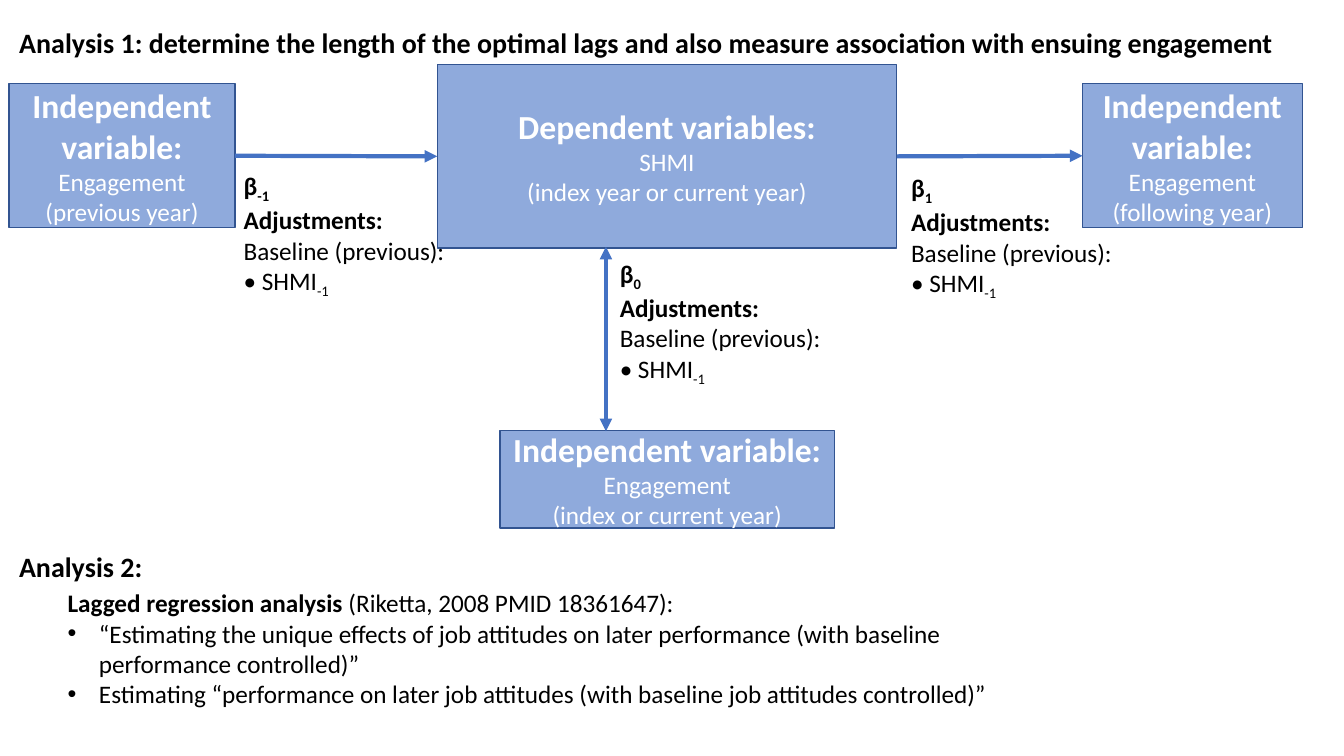
"""Build the slide on lagged analyses of engagement and SHMI."""
from lxml import etree
from pptx import Presentation
from pptx import util as u
from pptx.dml.color import RGBColor
from pptx.enum import shapes, text
from pptx.oxml.ns import qn

HUES = {"box": "8FAADC", "edge": "325491", "arrow": "4472C4",
        "ink": "000000", "light": "FFFFFF"}
LEFT, MID = text.PP_ALIGN.LEFT, text.PP_ALIGN.CENTER


def hue(name):
    """Return a named colour."""
    return RGBColor.from_string(HUES[name])


def place(shape, spot):
    """Move and size a shape, in centimetres."""
    shape.left, shape.top, shape.width, shape.height = map(u.Cm, spot)


def write(frame, paras, align=LEFT, ink="ink"):
    """Fill a frame with paragraphs of (text, size, bold, subscript) runs."""
    for i, runs in enumerate(paras):
        para = frame.paragraphs[0] if i == 0 else frame.add_paragraph()
        para.alignment = align
        para.space_before = u.Pt(0)
        for words, size, bold, sub in runs:
            run = para.add_run()
            run.text = words
            font = run.font
            font.name, font.size, font.bold = "Calibri", u.Pt(size), bold
            font.color.rgb = hue(ink)
            if sub:
                run._r.get_or_add_rPr().set("baseline", "-25000")


def fit(frame, wrap=True):
    """Anchor text at the top and let its shape grow."""
    frame.word_wrap = wrap
    frame.auto_size = text.MSO_AUTO_SIZE.SHAPE_TO_FIT_TEXT
    frame.vertical_anchor = text.MSO_ANCHOR.TOP


def add_box(slide, spot, head, name, year):
    """Add a filled box for one variable."""
    box = slide.shapes.add_shape(shapes.MSO_SHAPE.RECTANGLE, *map(u.Cm, spot))
    box.shadow.inherit = False
    box.fill.solid()
    box.fill.fore_color.rgb = hue("box")
    box.line.color.rgb = hue("edge")
    box.line.width = u.Pt(1)
    box.text_frame.word_wrap = True
    box.text_frame.vertical_anchor = text.MSO_ANCHOR.MIDDLE
    write(box.text_frame, [[(head, 24, True, False)], [(name, 18, False, False)],
                           [(year, 18, False, False)]], MID, "light")
    return box


def add_arrow(slide, ends, tips=("tailEnd",)):
    """Add a straight arrow with triangular tips."""
    line = slide.shapes.add_connector(shapes.MSO_CONNECTOR.STRAIGHT, *map(u.Cm, ends))
    line.line.color.rgb = hue("arrow")
    line.line.width = u.Pt(3)
    for tip in tips:
        etree.SubElement(line.line._get_or_add_ln(), qn("a:" + tip), type="triangle")
    etree.SubElement(line._element.spPr, qn("a:effectLst"))
    return line


def link(slide, start, end):
    """Join the right side of one box to the left side of the next."""
    line = add_arrow(slide, (0, 0, 1, 1))
    line.begin_connect(start, 3)
    line.end_connect(end, 1)


def add_note(slide, spot, lag):
    """Add the adjustments for one beta."""
    frame = slide.shapes.add_textbox(*map(u.Cm, spot)).text_frame
    fit(frame)
    write(frame, [[("β", 18, True, False), (lag, 18, True, True)],
                  [("Adjustments: ", 18, True, False)],
                  [("Baseline (previous):", 18, False, False)],
                  [("• SHMI", 18, False, False), ("-1", 18, False, True)]])


def add_head(shape, spot, words):
    """Write a heading into a shape."""
    place(shape, spot)
    fit(shape.text_frame, False)
    write(shape.text_frame, [[(words, 20, True, False)]])


def add_list(body, spot, lead, items):
    """Fill the body with a lead line and bulleted items."""
    place(body, spot)
    frame = body.text_frame
    fit(frame)
    write(frame, [lead] + [[(item, 18, False, False)] for item in items])
    for i, para in enumerate(frame.paragraphs):
        props = para._p.get_or_add_pPr()
        pad = u.Cm(0.79) if i else 0
        props.set("marL", str(pad))
        props.set("indent", str(-pad))
        if i:
            etree.SubElement(props, qn("a:buFont"), typeface="Arial")
            etree.SubElement(props, qn("a:buChar"), char="•")
        else:
            etree.SubElement(props, qn("a:buNone"))


def main():
    """Build and save the slide."""
    deck = Presentation()
    deck.slide_width, deck.slide_height = u.Cm(33.87), u.Cm(19.05)
    slide = deck.slides.add_slide(deck.slide_layouts[1])
    title, body = slide.placeholders

    cause = "Independent variable:"
    shmi = add_box(slide, (11.02, 1.63, 11.58, 4.62), "Dependent variables:",
                   "SHMI", "(index year or current year)")
    past = add_box(slide, (0.23, 2.11, 5.69, 3.63), cause, "Engagement", "(previous year)")
    later = add_box(slide, (27.28, 2.11, 5.54, 3.63), cause, "Engagement", "(following year)")
    add_box(slide, (12.6, 10.85, 8.43, 2.46), cause, "Engagement", "(index or current year)")

    link(slide, past, shmi)
    link(slide, shmi, later)
    add_arrow(slide, (15.27, 6.22, 15.27, 10.87), ("headEnd", "tailEnd"))

    add_note(slide, (5.89, 4.17, 5.69, 3.33), "-1")
    add_note(slide, (15.37, 6.38, 5.69, 3.33), "0")
    add_note(slide, (22.71, 4.22, 6.81, 3.33), "1")

    add_head(title, (0.23, 0.51, 32.21, 1.12),
             "Analysis 1: determine the length of the optimal lags "
             "and also measure association with ensuing engagement")
    spot = (0.23, 13.72, 3.66, 1.12)
    add_head(slide.shapes.add_textbox(*map(u.Cm, spot)), spot, "Analysis 2:")
    add_list(body, (1.45, 14.68, 25.04, 3.33),
             [("Lagged regression analysis", 18, True, False),
              (" (Riketta, 2008 PMID 18361647):", 18, False, False)],
             ["“Estimating the unique effects of job attitudes on later performance "
              "(with baseline performance controlled)”",
              "Estimating “performance on later job attitudes "
              "(with baseline job attitudes controlled)”"])
    deck.save("out.pptx")


main()
